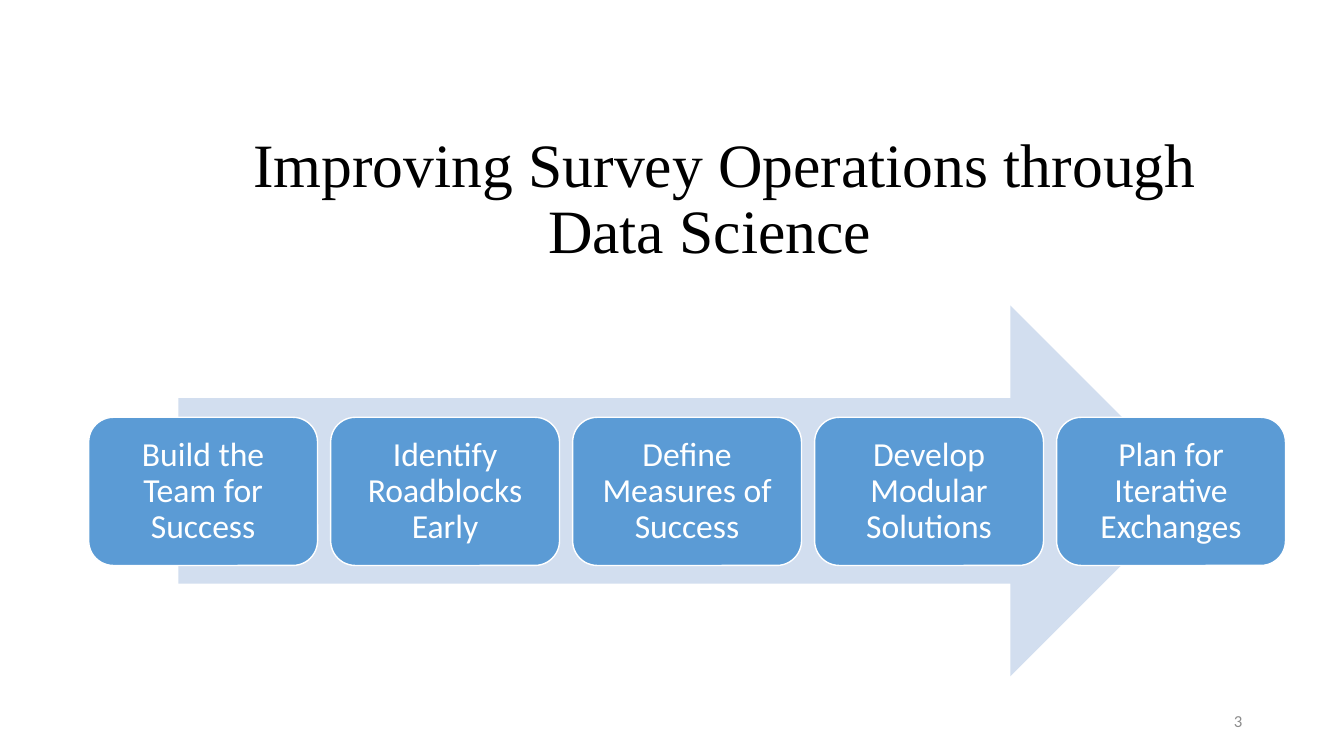
from pptx import Presentation
from pptx.dml.color import RGBColor
from pptx.enum.shapes import MSO_SHAPE as Shape
from pptx.enum.text import MSO_ANCHOR as Anchor, PP_ALIGN as Align
from pptx.util import Inches, Pt

WHITE = RGBColor(0xFF, 0xFF, 0xFF)
BLACK = RGBColor(0x00, 0x00, 0x00)
GRAY = RGBColor(0x8C, 0x8C, 0x8C)
BLUE = RGBColor(0x5B, 0x9B, 0xD5)
PALE_BLUE = RGBColor(0xD2, 0xDE, 0xEF)

STEPS = [
    "Build the Team for Success",
    "Identify Roadblocks Early",
    "Define Measures of Success",
    "Develop Modular Solutions",
    "Plan for Iterative Exchanges",
]
STEP_LEFT = 0.88
STEP_PITCH = 2.4


def write_text(shape, text, font_name, size, color, align, anchor, line_spacing=1.0):
    frame = shape.text_frame
    frame.word_wrap = True
    frame.vertical_anchor = anchor
    paragraph = frame.paragraphs[0]
    paragraph.alignment = align
    paragraph.line_spacing = line_spacing
    run = paragraph.add_run()
    run.text = text
    run.font.name = font_name
    run.font.size = Pt(size)
    run.font.color.rgb = color
    return paragraph


def add_filled_shape(slide, kind, left, top, width, height, fill):
    shape = slide.shapes.add_shape(
        kind, Inches(left), Inches(top), Inches(width), Inches(height))
    shape.shadow.inherit = False
    shape.fill.solid()
    shape.fill.fore_color.rgb = fill
    shape.line.fill.background()
    return shape


def add_title(slide):
    box = slide.shapes.add_textbox(Inches(1.78), Inches(1.28), Inches(10.52), Inches(1.42))
    paragraph = write_text(box, "Improving Survey Operations through Data Science",
                           "Times New Roman", 44, BLACK, Align.CENTER, Anchor.TOP, 0.9)
    properties = paragraph._p.get_or_add_pPr()
    properties.set("marL", "0")
    properties.set("indent", str(Inches(0.3)))


def add_step(slide, index, text):
    step = add_filled_shape(slide, Shape.ROUNDED_RECTANGLE,
                            STEP_LEFT + index * STEP_PITCH, 4.14, 2.27, 1.47, BLUE)
    step.line.color.rgb = WHITE
    step.line.width = Pt(1)
    frame = step.text_frame
    frame.margin_left = frame.margin_right = Inches(0.1)
    frame.margin_top = frame.margin_bottom = Inches(0.1)
    write_text(step, text, "Calibri", 24, WHITE, Align.CENTER, Anchor.MIDDLE, 0.9)


def add_slide_number(slide):
    box = slide.shapes.add_textbox(Inches(9.42), Inches(6.95), Inches(3), Inches(0.4))
    write_text(box, "3", "Calibri", 12, GRAY, Align.RIGHT, Anchor.MIDDLE)


def main():
    presentation = Presentation()
    presentation.slide_width = Inches(13.33)
    presentation.slide_height = Inches(7.5)
    slide = presentation.slides.add_slide(presentation.slide_layouts[6])
    add_slide_number(slide)
    add_title(slide)
    add_filled_shape(slide, Shape.RIGHT_ARROW, 1.77, 3.03, 10.09, 3.68, PALE_BLUE)
    for index, text in enumerate(STEPS):
        add_step(slide, index, text)
    presentation.save("out.pptx")


if __name__ == "__main__":
    main()
